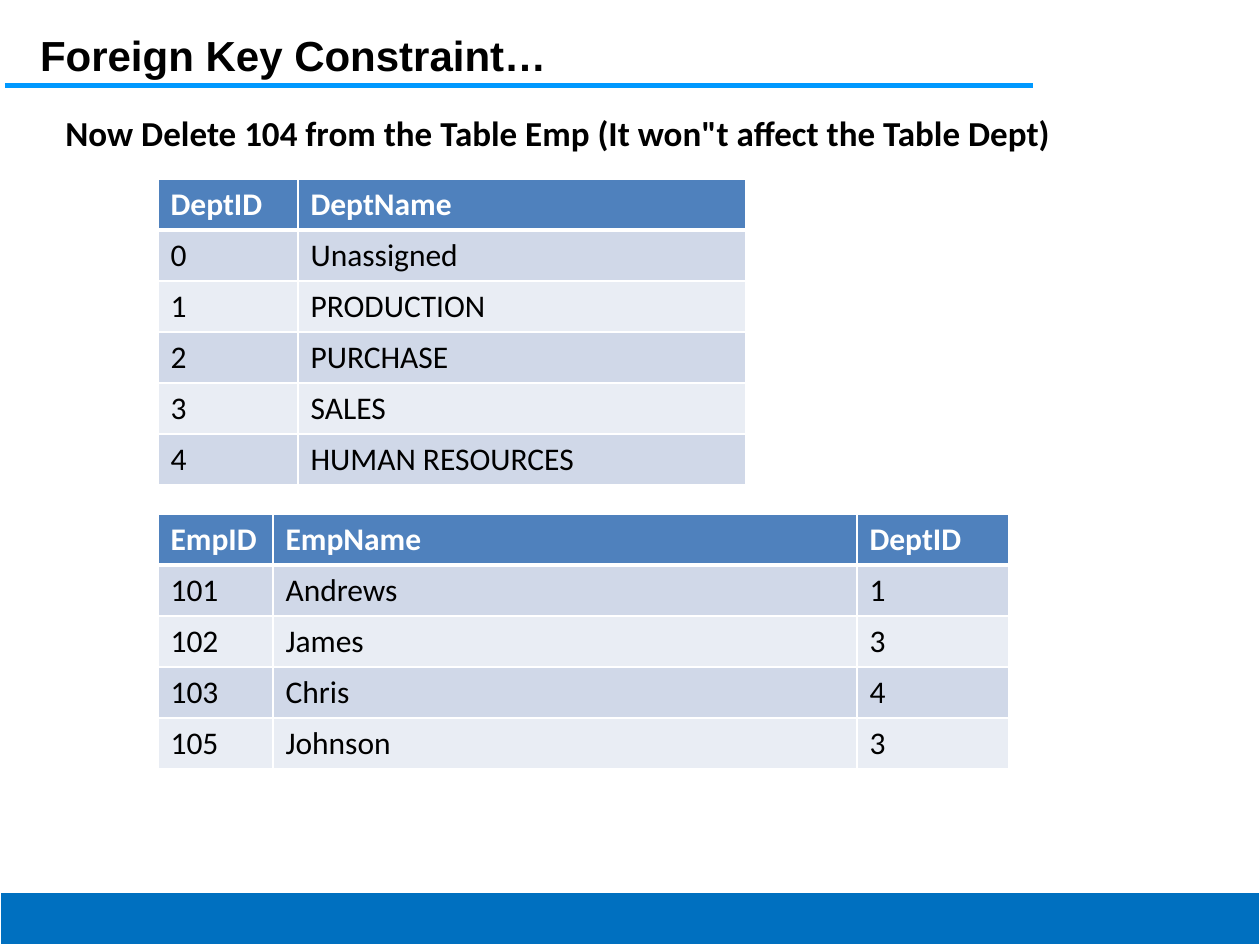
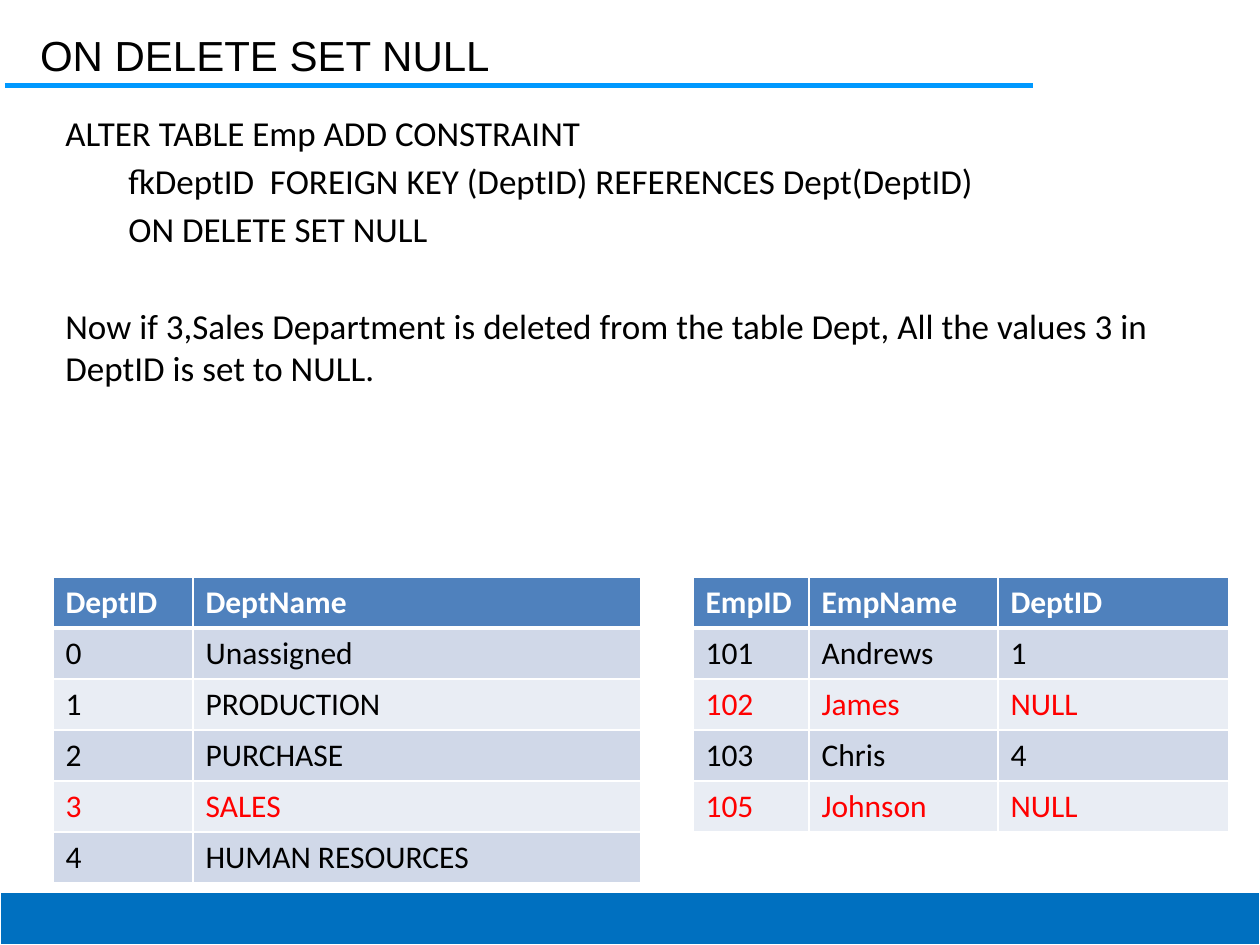
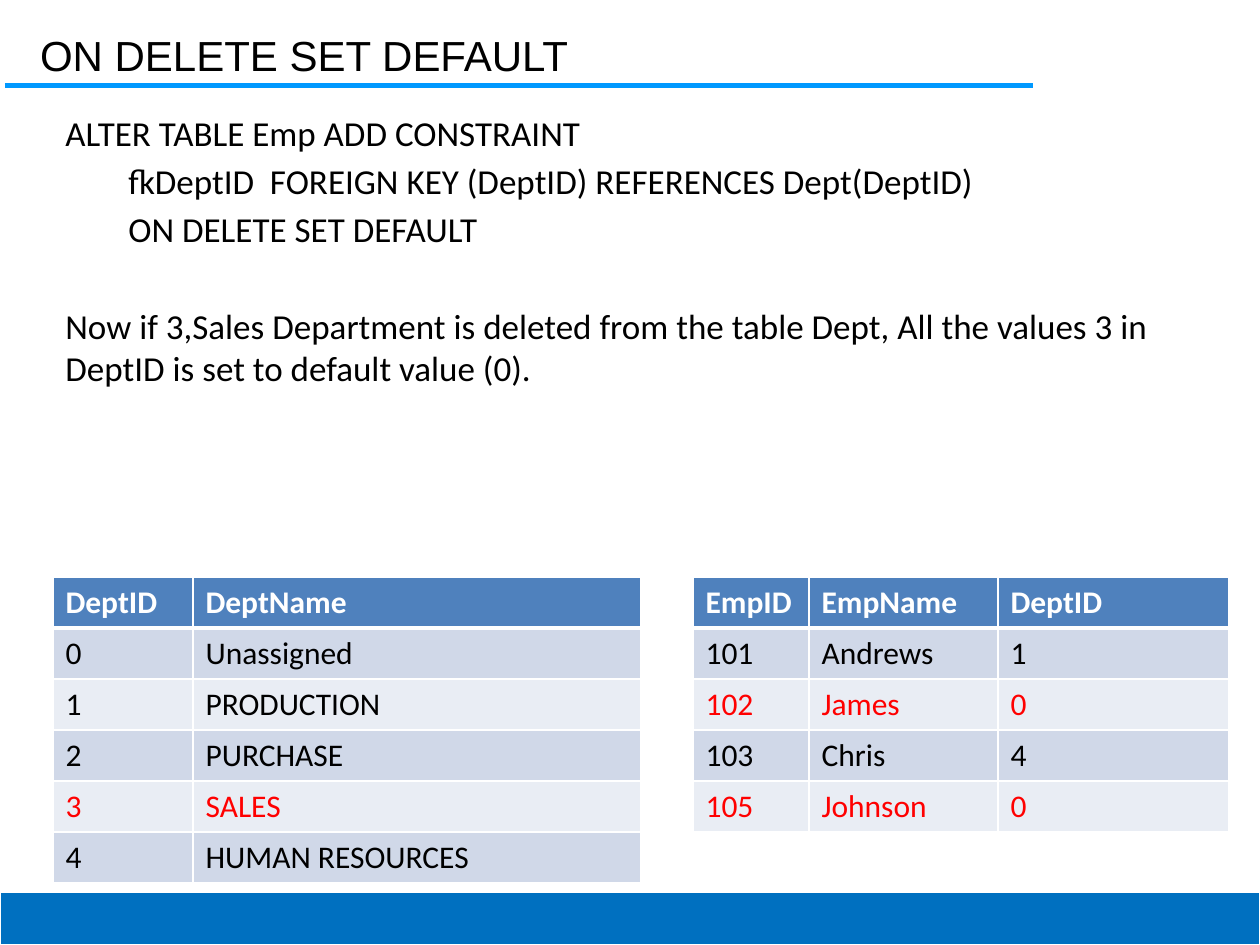
from lxml import etree
from pptx import Presentation
from pptx.dml.color import RGBColor
from pptx.enum.shapes import MSO_CONNECTOR, MSO_SHAPE
from pptx.oxml.ns import qn
from pptx.util import Pt

STRAIGHT = MSO_CONNECTOR.STRAIGHT
RECT = MSO_SHAPE.RECTANGLE
PX = 914400 / 126
ROW_H = 51
COLORS = {
    "text": "000000", "white": "FFFFFF", "alert": "FF0000",
    "rule": "0099FF", "footer": "0070C0",
    "header": "4F81BD", "odd": "D0D8E8", "even": "E9EDF4",
}
RGB = {name: RGBColor.from_string(value) for name, value in COLORS.items()}


def add_text(tf, text, font="Calibri", size=20, color="text", bold=False, before=0):
    p = tf.paragraphs[0]
    if p.runs:
        p = tf.add_paragraph()
    p.space_before = round(before * PX)
    r = p.add_run()
    r.text = text
    r.font.name = font
    r.font.size = Pt(size)
    r.font.bold = bold
    r.font.color.rgb = RGB[color]


def add_grid(slide, left, top, widths, rows, alerts):
    box = [round(v * PX) for v in (left, top, sum(widths), ROW_H * len(rows))]
    table = slide.shapes.add_table(len(rows), len(widths), *box).table
    for column, width in zip(table.columns, widths):
        column.width = round(width * PX)
    for i, row in enumerate(rows):
        table.rows[i].height = round(ROW_H * PX)
        fill = "header" if i == 0 else "odd" if i % 2 else "even"
        color = "white" if i == 0 else "alert" if row[0] in alerts else "text"
        for j, text in enumerate(row):
            cell = table.cell(i, j)
            tcPr = cell._tc.get_or_add_tcPr()
            for side in "LRTB":
                thick = (i, side) in ((0, "B"), (1, "T"))
                ln = etree.SubElement(tcPr, qn("a:ln" + side), w=str(Pt(3 if thick else 1)))
                solid = etree.SubElement(ln, qn("a:solidFill"))
                etree.SubElement(solid, qn("a:srgbClr"), val=COLORS["white"])
            cell.fill.solid()
            cell.fill.fore_color.rgb = RGB[fill]
            add_text(cell.text_frame, text, size=18, color=color, bold=i == 0)


DEPT = [("DeptID", "DeptName"), ("0", "Unassigned"), ("1", "PRODUCTION"),
        ("2", "PURCHASE"), ("3", "SALES"), ("4", "HUMAN RESOURCES")]
DEPT_COLS = (140, 448)
EMP_HEAD = ("EmpID", "EmpName", "DeptID")
EMP = [("101", "Andrews"), ("102", "James"), ("103", "Chris"), ("105", "Johnson")]
ALTER = ["ALTER TABLE Emp ADD CONSTRAINT",
         "\tfkDeptID  FOREIGN KEY (DeptID) REFERENCES Dept(DeptID)"]
DELETED = ("Now if 3,Sales Department is deleted from the table Dept, "
           "All the values 3 in DeptID is set to ")
STACKED = {"bold": True, "body_h": 63, "emp": (158, 514), "emp_cols": (115, 584, 152),
           "dept": (158, 179), "dept_alerts": (), "emp_alerts": ()}
PAIRED = {"bold": False, "body_h": 420, "emp": (693, 577), "emp_cols": (116, 189, 231),
          "dept": (53, 577), "dept_alerts": ("3",), "emp_alerts": ("102", "105")}
SLIDES = [
    ("Foreign Key Constraint…",
     ['Now Delete 104 from the Table Emp (It won"t affect the Table Dept)'], "3", STACKED),
    ("ON DELETE SET NULL",
     ALTER + ["\tON DELETE SET NULL", DELETED + "NULL."], "NULL", PAIRED),
    ("ON DELETE SET DEFAULT",
     ALTER + ["\tON DELETE SET DEFAULT", DELETED + "default value (0)."], "0", PAIRED),
]

prs = Presentation()
prs.slide_width = round(1260 * PX)
prs.slide_height = round(945 * PX)

for title, lines, moved, layout in SLIDES:
    s = prs.slides.add_slide(prs.slide_layouts[6])

    rule = s.shapes.add_connector(STRAIGHT, *[round(v * PX) for v in (5, 86, 1033, 86)])
    rule.line.color.rgb = RGB["rule"]
    rule.line.width = Pt(2.89)
    etree.SubElement(rule._element.spPr, qn("a:effectLst"))

    sp = s.shapes.add_textbox(*[round(v * PX) for v in (29, 21, 1004, 50)])
    tf = sp.text_frame
    tf.word_wrap = True
    tf.margin_left = tf.margin_right = round(11 * PX)
    tf.margin_top = round(9 * PX)
    tf.margin_bottom = 0
    add_text(tf, title, font="Arial", size=24, bold=layout["bold"])

    bar = s.shapes.add_shape(RECT, *[round(v * PX) for v in (0, 892, 1260, 53)])
    bar.shadow.inherit = False
    bar.fill.solid()
    bar.fill.fore_color.rgb = RGB["footer"]
    bar.line.color.rgb = RGB["white"]
    bar.line.width = Pt(0.75)

    sp = s.shapes.add_textbox(*[round(v * PX) for v in (53, 105, 1155, layout["body_h"])])
    tf = sp.text_frame
    tf.word_wrap = True
    for i, line in enumerate(lines):
        add_text(tf, line, bold=layout["bold"], before=(0, 6, 6, 55)[i])

    dept_ids = ("1", moved, "4", moved)
    emp = [EMP_HEAD] + [row + (dept_id,) for row, dept_id in zip(EMP, dept_ids)]
    add_grid(s, *layout["emp"], layout["emp_cols"], emp, layout["emp_alerts"])
    add_grid(s, *layout["dept"], DEPT_COLS, DEPT, layout["dept_alerts"])

prs.save("out.pptx")
